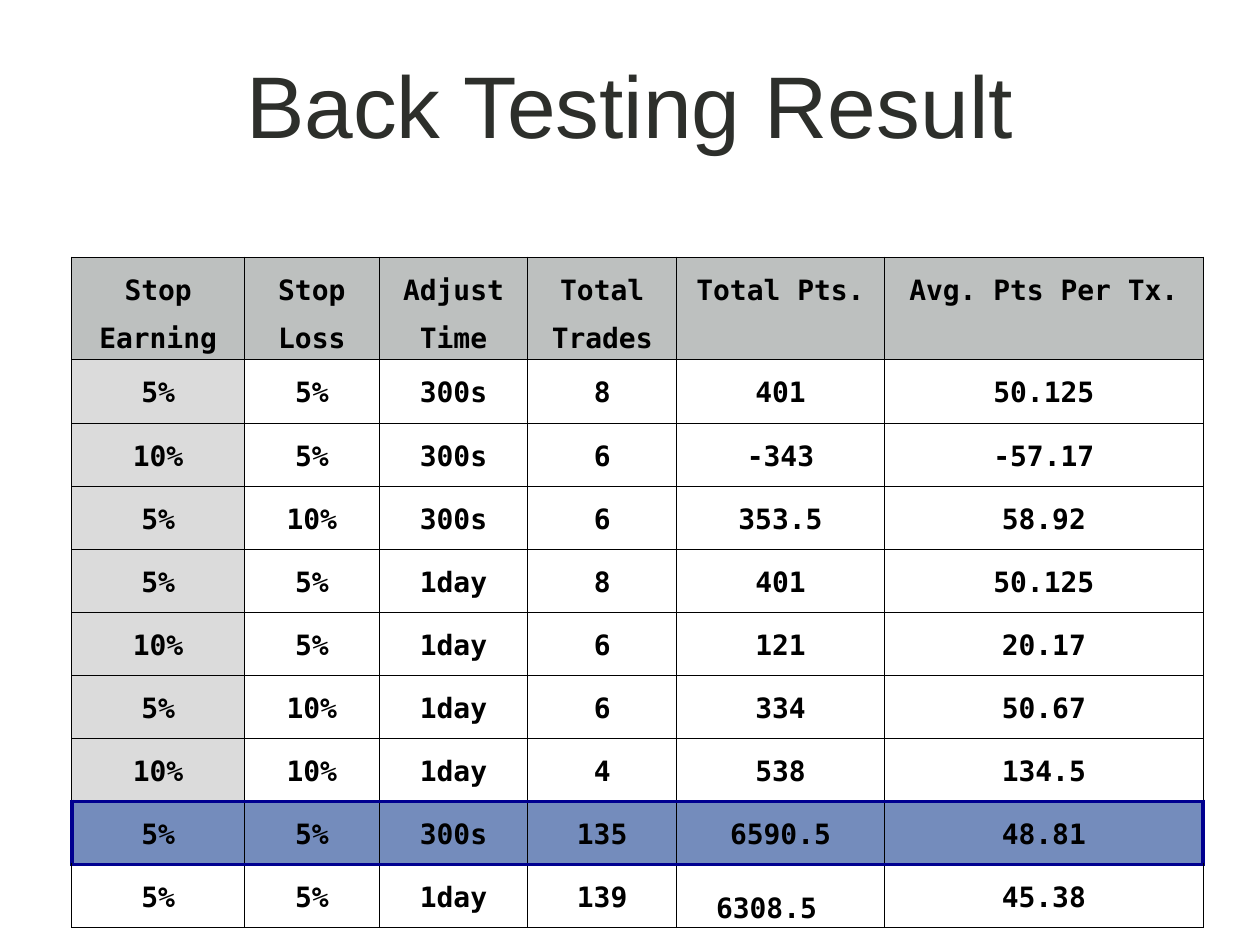
from lxml.etree import SubElement
from pptx import Presentation
from pptx.dml.color import RGBColor
from pptx.enum.text import MSO_ANCHOR as Anchor, PP_ALIGN as Align
from pptx.oxml.ns import qn
from pptx.util import Inches, Pt

COLORS = {
    "title": "2D2F2B", "text": "000000", "header": "BDC0BF",
    "stub": "DBDBDB", "best": "748CBC", "grid": "000000", "frame": "000090",
}
COL_WIDTHS = [1.37, 1.07, 1.18, 1.18, 1.65, 2.53]
ROW_HEIGHTS = [0.81, 0.51] + [0.5] * 8
BEST_ROW = 8
RESULTS = [
    ["Stop Earning", "Stop Loss", "Adjust Time", "Total Trades", "Total Pts.", "Avg. Pts Per Tx."],
    ["5%", "5%", "300s", "8", "401", "50.125"],
    ["10%", "5%", "300s", "6", "-343", "-57.17"],
    ["5%", "10%", "300s", "6", "353.5", "58.92"],
    ["5%", "5%", "1day", "8", "401", "50.125"],
    ["10%", "5%", "1day", "6", "121", "20.17"],
    ["5%", "10%", "1day", "6", "334", "50.67"],
    ["10%", "10%", "1day", "4", "538", "134.5"],
    ["5%", "5%", "300s", "135", "6590.5", "48.81"],
    ["5%", "5%", "1day", "139", "6308.5　", "45.38"],
]


class SlideBuilder:
    """Holds the text style and the current slide."""

    def __init__(self, prs):
        self.slide = prs.slides.add_slide(prs.slide_layouts[5])
        self.title_font, self.table_font = "Arial", "DejaVu Sans Mono"

    def add_text(self, p, text, font, size, color, bold=False):
        p.alignment = Align.CENTER
        r = p.add_run()
        r.text = text
        r.font.name, r.font.size, r.font.bold = font, Pt(size), bold
        r.font.color.rgb = RGBColor.from_string(COLORS[color])

    def title(self, text, left, top, width, height):
        sp = self.slide.shapes.title
        sp.left, sp.top, sp.width, sp.height = map(Inches, (left, top, width, height))
        tf = sp.text_frame
        tf.word_wrap, tf.vertical_anchor = True, Anchor.MIDDLE
        self.add_text(tf.paragraphs[0], text, self.title_font, 50, "title")

    def border(self, cell, side, framed):
        ln = SubElement(cell._tc.get_or_add_tcPr(), qn(f"a:ln{side}"))
        ln.set("w", str(Pt(2.25 if framed else 0.5)))
        fill = SubElement(ln, qn("a:solidFill"))
        SubElement(fill, qn("a:srgbClr")).set("val", COLORS["frame" if framed else "grid"])

    def cell(self, cell, text, fill, framed_sides):
        cell.margin_left = cell.margin_right = cell.margin_top = Inches(0.01)
        cell.margin_bottom = 0
        cell.vertical_anchor = Anchor.TOP
        for side in "LRTB":
            self.border(cell, side, side in framed_sides)
        if fill:
            cell.fill.solid()
            cell.fill.fore_color.rgb = RGBColor.from_string(COLORS[fill])
        else:
            cell.fill.background()
        p = cell.text_frame.paragraphs[0]
        p.line_spacing = 1.5
        self.add_text(p, text, self.table_font, 16, "text", True)

    def table(self, rows, left, top, widths, heights, best):
        frame = self.slide.shapes.add_table(
            len(rows), len(widths), Inches(left), Inches(top),
            Inches(sum(widths)), Inches(sum(heights)))
        table = frame.table
        table.first_row = table.horz_banding = False
        for col, width in zip(table.columns, widths):
            col.width = Inches(width)
        for row, height in zip(table.rows, heights):
            row.height = Inches(height)
        for i, row in enumerate(rows):
            for j, text in enumerate(row):
                fill = ("header" if i == 0 else "best" if i == best
                        else "stub" if j == 0 and i < best else None)
                sides = {best - 1: "B", best: "TB", best + 1: "T"}.get(i, "")
                if i == best:
                    sides += {0: "L", len(row) - 1: "R"}.get(j, "")
                self.cell(table.cell(i, j), text, fill, sides)


def main():
    prs = Presentation()
    prs.slide_width, prs.slide_height = Inches(10), Inches(7.5)
    s = SlideBuilder(prs)
    s.title("Back Testing Result", 0.75, 0.07, 8.5, 1.5)
    s.table(RESULTS, 0.57, 2.04, COL_WIDTHS, ROW_HEIGHTS, BEST_ROW)
    prs.save("out.pptx")


if __name__ == "__main__":
    main()
